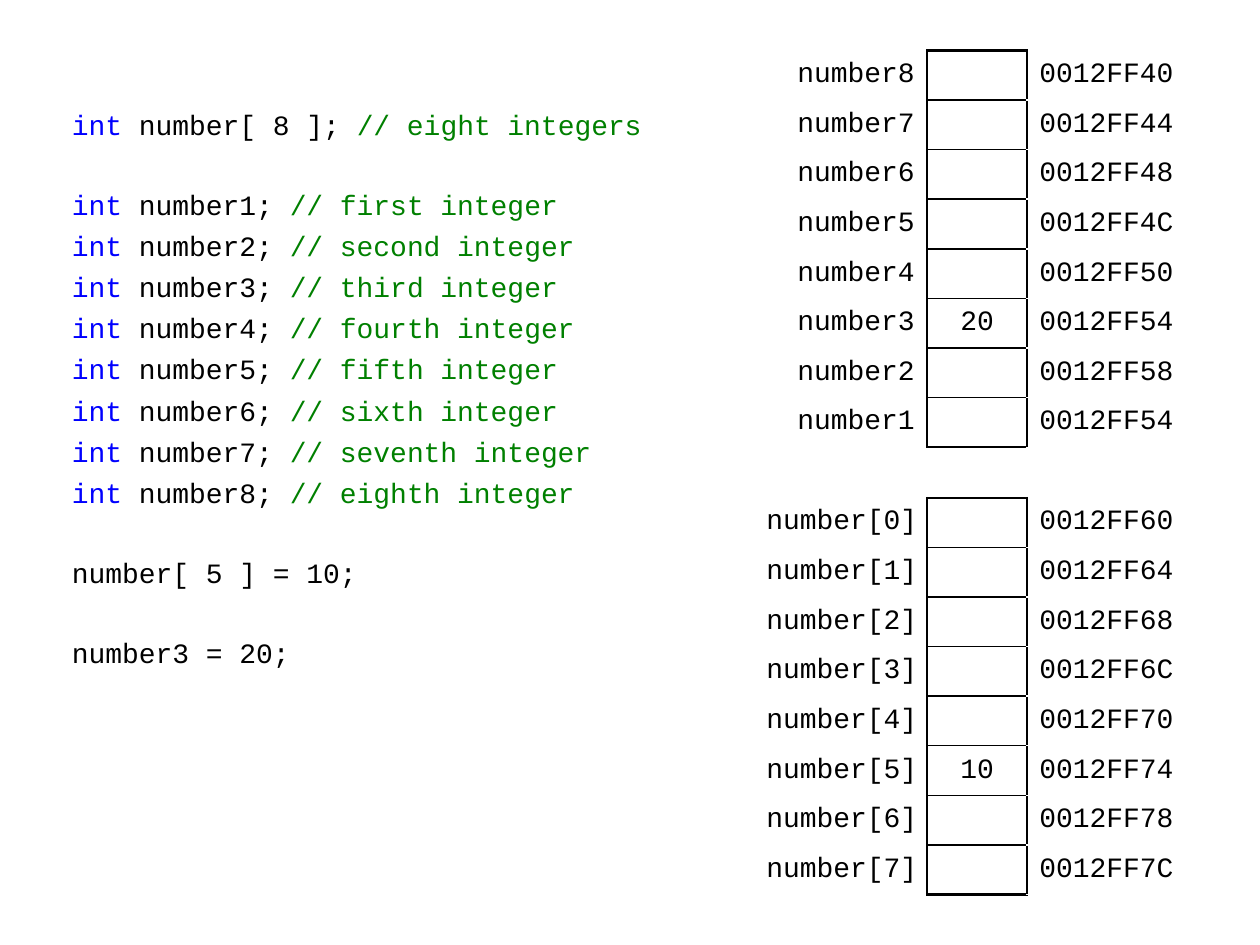
from dataclasses import dataclass

from lxml.etree import SubElement
from pptx import Presentation
from pptx.dml.color import RGBColor
from pptx.enum.text import MSO_ANCHOR, PP_ALIGN
from pptx.oxml.ns import qn
from pptx.util import Inches, Pt


@dataclass(frozen=True)
class Theme:
    font: str = "Courier New"
    size: float = 16
    text: str = "000000"
    keyword: str = "0000FF"
    comment: str = "008000"
    line_gap: float = 4.3
    block_gap: float = 26.7
    outer: float = 1.5
    inner: float = 1


THEME = Theme()
ORDINALS = ["first", "second", "third", "fourth",
            "fifth", "sixth", "seventh", "eighth"]
COUNT = len(ORDINALS)


def add_run(p, text, color=THEME.text):
    r = p.add_run()
    r.text = text
    r.font.name = THEME.font
    r.font.size = Pt(THEME.size)
    r.font.color.rgb = RGBColor.from_string(color)


def declaration(name, comment):
    return [("int", THEME.keyword), (f" {name}; ", THEME.text),
            (f"// {comment}", THEME.comment)]


def fill_code(sp, blocks):
    """Write code lines, with a wider gap before each block."""
    sp.left, sp.top = Inches(0.47), Inches(0.8)
    sp.width, sp.height = Inches(4.92), Inches(5.12)
    tf = sp.text_frame
    tf.word_wrap = True
    p = tf.paragraphs[0]
    for b, block in enumerate(blocks):
        for i, line in enumerate(block):
            if b or i:
                p = tf.add_paragraph()
            new_block = b > 0 and i == 0
            p.space_before = Pt(THEME.block_gap if new_block else THEME.line_gap)
            # No bullet, no hanging indent
            pPr = p._p.get_or_add_pPr()
            pPr.set("marL", "0")
            pPr.set("indent", "0")
            SubElement(pPr, qn("a:buNone"))
            for text, color in line:
                add_run(p, text, color)


def set_borders(cell, **widths):
    """Draw the given sides (L, R, T, B) of a cell, widths in points."""
    tcPr = cell._tc.get_or_add_tcPr()
    for side in "LRTB":
        if side in widths:
            ln = SubElement(tcPr, qn(f"a:ln{side}"), w=str(Pt(widths[side])))
            fill = SubElement(ln, qn("a:solidFill"))
            SubElement(fill, qn("a:srgbClr"), val=THEME.text)


def add_memory(s, left, top, label_width, rows, label_inset):
    """Draw a memory map: label, boxed value, address."""
    widths = [label_width, 0.79, 1.38]
    height = 3.15
    table = s.shapes.add_table(len(rows), 3, Inches(left), Inches(top),
                               Inches(sum(widths)), Inches(height)).table
    table.first_row = table.horz_banding = False
    for column, width in zip(table.columns, widths):
        column.width = Inches(width)
    aligns = [PP_ALIGN.RIGHT, PP_ALIGN.CENTER, PP_ALIGN.LEFT]
    insets = [label_inset, 0.1, 0.08]
    last = len(rows) - 1
    for i, row in enumerate(rows):
        table.rows[i].height = Inches(height / len(rows))
        box = dict(L=THEME.outer, R=THEME.outer,
                   T=THEME.inner if i else THEME.outer,
                   B=THEME.inner if i < last else THEME.outer)
        borders = [dict(R=THEME.outer), box, dict(L=THEME.outer)]
        for j, text in enumerate(row):
            cell = table.cell(i, j)
            set_borders(cell, **borders[j])
            cell.fill.background()
            cell.vertical_anchor = MSO_ANCHOR.MIDDLE
            cell.margin_left, cell.margin_right = Inches(0.1), Inches(insets[j])
            cell.margin_top = cell.margin_bottom = Inches(0.04)
            p = cell.text_frame.paragraphs[0]
            p.alignment = aligns[j]
            if text:
                add_run(p, text)


def main():
    prs = Presentation()
    prs.slide_width, prs.slide_height = Inches(10), Inches(7.5)
    s = prs.slides.add_slide(prs.slide_layouts[1])
    title = s.shapes.title
    title._element.getparent().remove(title._element)

    # Code listing
    fill_code(s.placeholders[1], [
        [declaration("number[ 8 ]", "eight integers")],
        [declaration(f"number{n}", f"{word} integer")
         for n, word in enumerate(ORDINALS, 1)],
        [[("number[ 5 ] = 10;", THEME.text)]],
        [[("number3 = 20;", THEME.text)]],
    ])

    # Array elements, in ascending order
    array = [(f"number[{i}]", "10" if i == 5 else "", f"0012FF{0x60 + 4 * i:X}")
             for i in range(COUNT)]
    add_memory(s, 5.79, 3.95, 1.57, array, label_inset=0.08)

    # Separate variables, in descending order
    addresses = ["40", "44", "48", "4C", "50", "54", "58", "54"]
    variables = [(f"number{n}", "20" if n == 3 else "", f"0012FF{address}")
                 for n, address in zip(range(COUNT, 0, -1), addresses)]
    add_memory(s, 6.18, 0.4, 1.18, variables, label_inset=0.1)

    prs.save("out.pptx")


if __name__ == "__main__":
    main()
